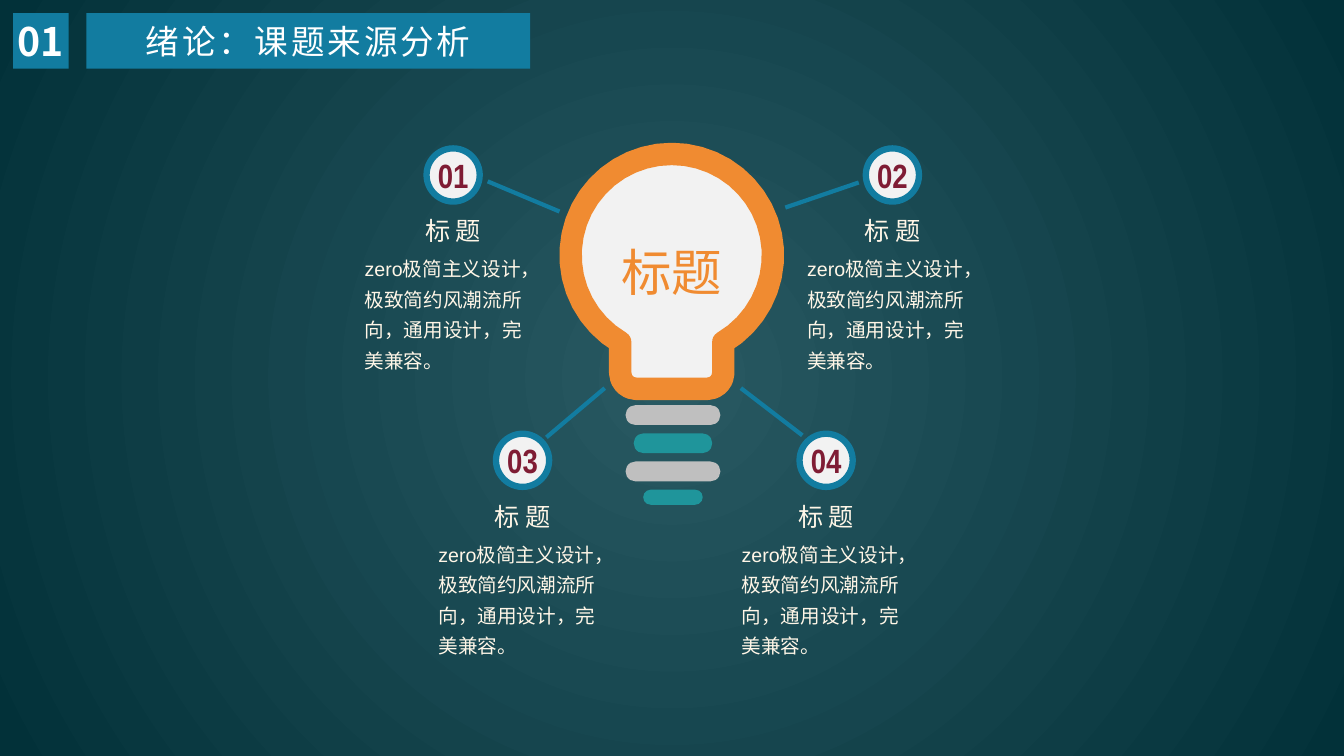
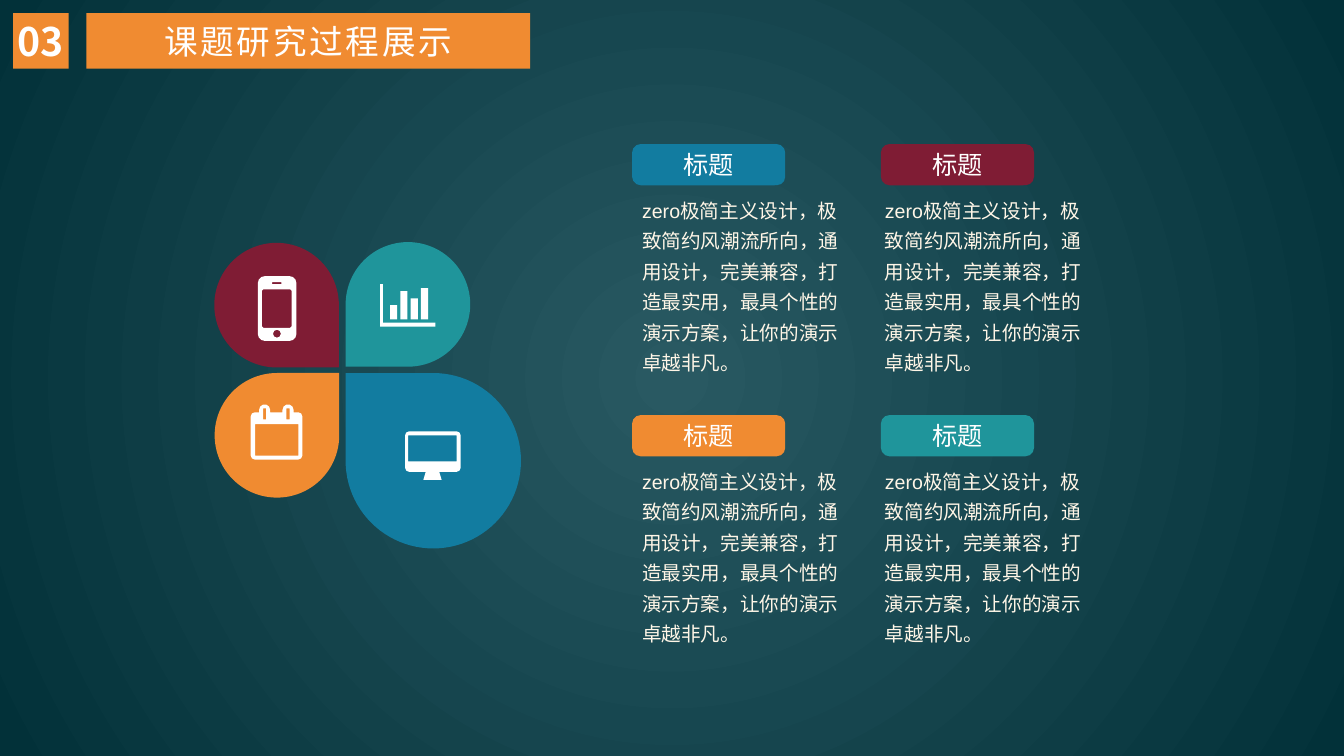
import itertools
import math

import pptx
import pptx.dml.color
import pptx.enum.dml
import pptx.enum.shapes
import pptx.enum.text
import pptx.oxml
import pptx.oxml.ns
import pptx.util

Cm = pptx.util.Cm
Pt = pptx.util.Pt
SHAPE = pptx.enum.shapes.MSO_SHAPE
ALIGN = pptx.enum.text.PP_ALIGN
ANCHOR = pptx.enum.text.MSO_ANCHOR
qn = pptx.oxml.ns.qn

BLUE, TEAL, ORANGE, WINE = "127CA0", "1F959B", "F08B31", "7F1C34"
WHITE, PALE, GREY, CREAM = "FFFFFF", "F2F2F2", "BFBFBF", "FFF6E7"
CJK = "Noto Sans CJK SC"


def rgb(value):
    return pptx.dml.color.RGBColor.from_string(value)


def write(sp, text, size=14, color=CREAM, font="Arial", bold=False, align=None,
          anchor=ANCHOR.TOP, line=None, space=None, inset=None, tracking=None):
    tf = sp.text_frame
    tf.word_wrap = True
    tf.vertical_anchor = anchor
    if inset is not None:
        tf.margin_left = tf.margin_right = tf.margin_top = tf.margin_bottom = Cm(inset)
    p = tf.paragraphs[0]
    p.alignment = align
    if line:
        p.line_spacing = line
    if space:
        p.space_before = p.space_after = Pt(space)
    r = p.add_run()
    r.text = text
    r.font.size = Pt(size)
    r.font.bold = bold
    r.font.name = font
    r.font.color.rgb = rgb(color)
    props = r.font._element
    ea = props.makeelement(qn("a:ea"), {"typeface": CJK})
    props.find(qn("a:latin")).addnext(ea)
    if tracking:
        props.set("spc", str(tracking * 100))


def arc(cx, cy, radius, start, end):
    if not radius:
        return [(cx, cy)]
    steps = max(1, round((end - start) / 8 * math.sqrt(radius / 2.5)))
    angles = [math.radians(start + (end - start) * i / steps) for i in range(steps + 1)]
    return [(cx + radius * math.cos(a), cy + radius * math.sin(a)) for a in angles]


def rounded(left, top, width, height, radius=0.0, above=(), below=()):
    x1, x2 = left + radius, left + width - radius
    y1, y2 = top + radius, top + height - radius
    return [*arc(x1, y1, radius, 180, 270), *above, *arc(x2, y1, radius, 270, 360),
            *arc(x2, y2, radius, 0, 90), *below, *arc(x1, y2, radius, 90, 180)]


class Deck:
    """Hold the shared style and the current slide, and draw elements on it."""

    def __init__(self):
        self.prs = pptx.Presentation()
        self.prs.slide_width, self.prs.slide_height = Cm(33.87), Cm(19.05)
        self.s = None
        self.background("295962", "023139")

    def background(self, inner, outer):
        master = self.prs.slide_master
        fill = master.background.fill
        fill.gradient()
        for stop, color in zip(fill.gradient_stops, (inner, outer)):
            stop.color.rgb = rgb(color)
        grad = master._element.find(".//" + qn("a:gradFill"))
        grad.replace(grad.find(qn("a:lin")), pptx.oxml.parse_xml(
            '<a:path xmlns:a="http://schemas.openxmlformats.org/drawingml/2006/main" path="circle">'
            '<a:fillToRect l="50000" t="50000" r="50000" b="50000"/></a:path>'))

    def slide(self, number, title, color):
        self.s = self.prs.slides.add_slide(self.prs.slide_layouts[6])
        style = dict(color=WHITE, font=CJK, align=ALIGN.CENTER, anchor=ANCHOR.MIDDLE)
        tile = self.shape(SHAPE.RECTANGLE, 0.33, 0.33, 1.4, 1.4, color)
        write(tile, number, size=28, bold=True, inset=0, **style)
        band = self.shape(SHAPE.RECTANGLE, 2.18, 0.33, 11.18, 1.4, color)
        write(band, title, size=24, tracking=2, **style)

    def paint(self, sp, fill, line=None, weight=0):
        sp.shadow.inherit = False
        sp.fill.solid()
        sp.fill.fore_color.rgb = rgb(fill)
        if line:
            sp.line.color.rgb = rgb(line)
            sp.line.width = Pt(weight)
        else:
            sp.line.fill.background()
        return sp

    def shape(self, kind, left, top, width, height, fill, line=None, weight=0, adj=None, rot=0):
        sp = self.s.shapes.add_shape(kind, Cm(left), Cm(top), Cm(width), Cm(height))
        if adj is not None:
            sp.adjustments[0] = adj
        sp.rotation = rot
        return self.paint(sp, fill, line, weight)

    def outline(self, contours, fill, line=None, weight=0):
        contours = [[(Cm(x), Cm(y)) for x, y in c] for c in contours]
        builder = self.s.shapes.build_freeform(*contours[0][0])
        for i, points in enumerate(contours):
            if i:
                builder.move_to(*points[0])
            builder.add_line_segments(points[1:], close=True)
        return self.paint(builder.convert_to_shape(), fill, line, weight)

    def line(self, x1, y1, x2, y2, color, weight):
        kind = pptx.enum.shapes.MSO_CONNECTOR.STRAIGHT
        sp = self.s.shapes.add_connector(kind, Cm(x1), Cm(y1), Cm(x2), Cm(y2))
        sp.line.color.rgb = rgb(color)
        sp.line.width = Pt(weight)
        props = sp._element.spPr
        props.append(props.makeelement(qn("a:effectLst"), {}))

    def text(self, left, top, width, height, text, **fmt):
        sp = self.s.shapes.add_textbox(Cm(left), Cm(top), Cm(width), Cm(height))
        write(sp, text, **fmt)
        sp.text_frame.auto_size = pptx.enum.text.MSO_AUTO_SIZE.SHAPE_TO_FIT_TEXT


def bulb_slide(deck):
    deck.slide("01", "绪论：课题来源分析", BLUE)
    cx, cy, radius, neck, base = 16.93, 6.43, 2.55, 1.3, 9.8
    angle = math.degrees(math.acos(neck / radius))
    bulb = [*arc(cx, cy, radius, 180 - angle, 360 + angle),
            *arc(cx + neck - 0.4, base - 0.4, 0.4, 0, 90),
            *arc(cx - neck + 0.4, base - 0.4, 0.4, 90, 180)]
    write(deck.outline([bulb], PALE, ORANGE, 16), "标题", size=36, color=ORANGE,
          font=CJK, align=ALIGN.CENTER, anchor=ANCHOR.MIDDLE)

    rings = [(2.39, 0.5, GREY), (1.98, 0.5, TEAL), (2.39, 0.5, GREY), (1.5, 0.38, TEAL)]
    for i, (width, height, color) in enumerate(rings):
        deck.shape(SHAPE.ROUNDED_RECTANGLE, 16.96 - width / 2, 10.21 + 0.71 * i,
                   width, height, color, adj=0.5)

    points = [
        (11.42, 4.41, 8.94, (12.29, 4.57, 14.1, 5.33)),
        (22.49, 4.41, 20.09, (21.64, 4.6, 19.79, 5.23)),
        (13.17, 11.6, 10.8, (13.77, 11.02, 15.24, 9.78)),
        (20.82, 11.6, 18.44, (20.22, 10.97, 18.67, 9.78)),
    ]
    for i, (x, y, text_x, ends) in enumerate(points, 1):
        badge = deck.shape(SHAPE.OVAL, x - 0.67, y - 0.67, 1.34, 1.34, PALE, BLUE, 4.5)
        write(badge, f"{i:02}", size=24, color=WINE, font="Arial Narrow", bold=True,
              align=ALIGN.CENTER, anchor=ANCHOR.MIDDLE, inset=0)
        deck.line(*ends, BLUE, 3)
        deck.text(x - 1.69, y + 1.05, 3.38, 0.86, "标 题", size=18, align=ALIGN.CENTER, line=0.8)
        deck.text(text_x, y + 1.77, 4.75, 3.38,
                  "zero极简主义设计，极致简约风潮流所向，通用设计，完美兼容。", line=1.3)


def calendar_icon():
    rings = (6.67, 7.26)
    bumps = [p for x in rings
             for p in [(x - 0.14, 10.39), *arc(x, 10.33, 0.14, 180, 360), (x + 0.14, 10.39)]]
    return [rounded(6.32, 10.39, 1.3, 1.19, 0.1, above=bumps),
            rounded(6.43, 10.69, 1.09, 0.79),
            *(rounded(x - 0.04, 10.29, 0.08, 0.28) for x in rings)]


def monitor_icon():
    stand = [(11.07, 11.89), (11.13, 12.09), (10.67, 12.09), (10.73, 11.89)]
    return [rounded(10.21, 10.87, 1.4, 1.02, 0.1, below=stand),
            rounded(10.29, 10.97, 1.22, 0.66)]


def chart_icon():
    axes = [(9.58, 7.16), (9.65, 7.16), (9.65, 8.13), (10.97, 8.13), (10.97, 8.23), (9.58, 8.23)]
    heights = (0.36, 0.71, 0.53, 0.79)
    return [axes, *(rounded(9.83 + 0.26 * i, 8.05 - h, 0.18, h) for i, h in enumerate(heights))]


def phone_icon():
    return [rounded(6.5, 6.96, 0.97, 1.63, 0.17), rounded(6.6, 7.29, 0.75, 0.97, 0.04),
            rounded(6.86, 7.11, 0.23, 0.05), rounded(6.88, 8.31, 0.2, 0.2, 0.1)]


def petal_slide(deck):
    deck.slide("03", "课题研究过程展示", ORANGE)
    petals = [(8.71, 9.4, 4.42, 270, BLUE), (8.71, 6.1, 3.14, 180, TEAL),
              (5.41, 9.4, 3.14, 0, ORANGE), (5.4, 6.12, 3.14, 90, WINE)]
    for left, top, size, rot, color in petals:
        deck.shape(SHAPE.TEAR, left, top, size, size, color, rot=rot)
    for icon in (calendar_icon, monitor_icon, chart_icon, phone_icon):
        deck.outline(icon(), WHITE)

    cells = itertools.product((3.63, 10.46), ((15.93, 15.93), (22.2, 22.05)))
    for (top, (tag_x, text_x)), color in zip(cells, (BLUE, WINE, ORANGE, TEAL)):
        tag = deck.shape(SHAPE.ROUNDED_RECTANGLE, tag_x, top, 3.86, 1.04, color, adj=0.21)
        write(tag, "标题", size=18, color=WHITE, font=CJK,
              align=ALIGN.CENTER, anchor=ANCHOR.MIDDLE)
        deck.text(text_x, top + 1.07, 5.77, 4.93,
                  "zero极简主义设计，极致简约风潮流所向，通用设计，完美兼容，"
                  "打造最实用，最具个性的演示方案，让你的演示卓越非凡。", line=1.3, space=6)


def main():
    deck = Deck()
    bulb_slide(deck)
    petal_slide(deck)
    deck.prs.save("out.pptx")


if __name__ == "__main__":
    main()
